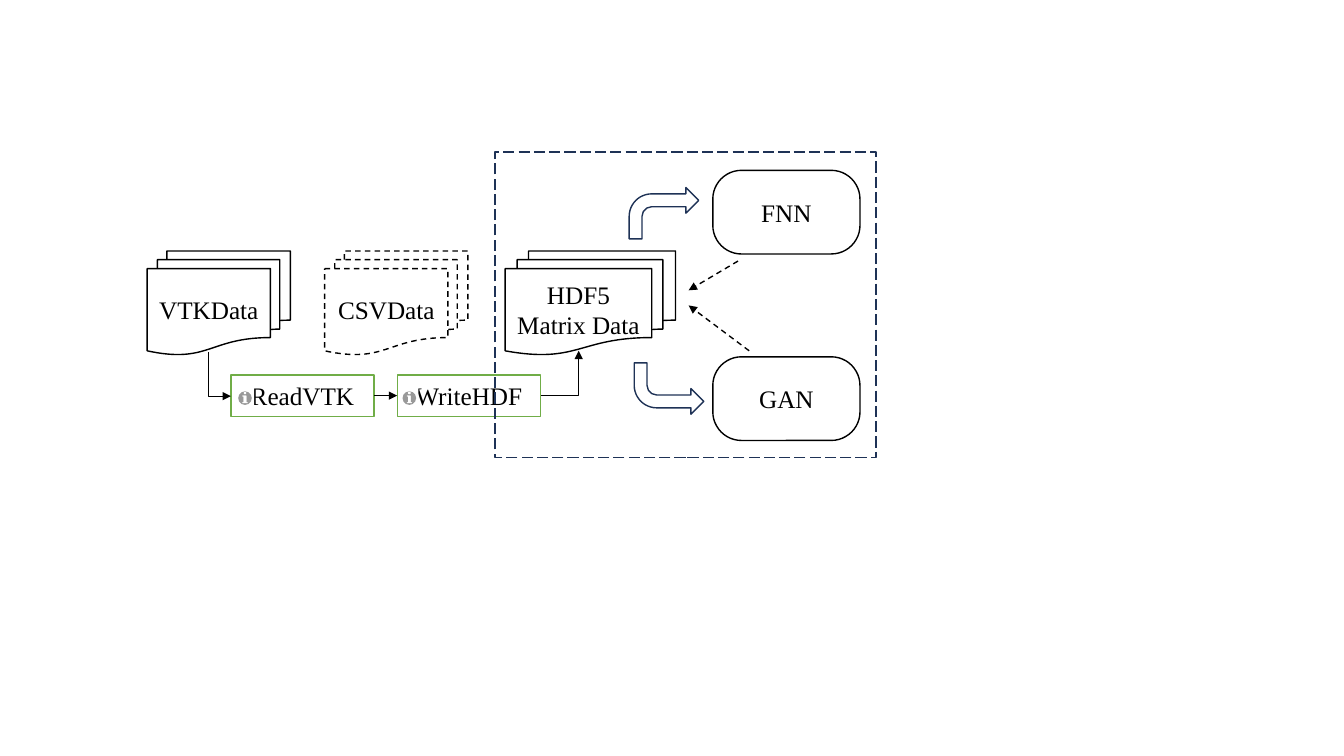
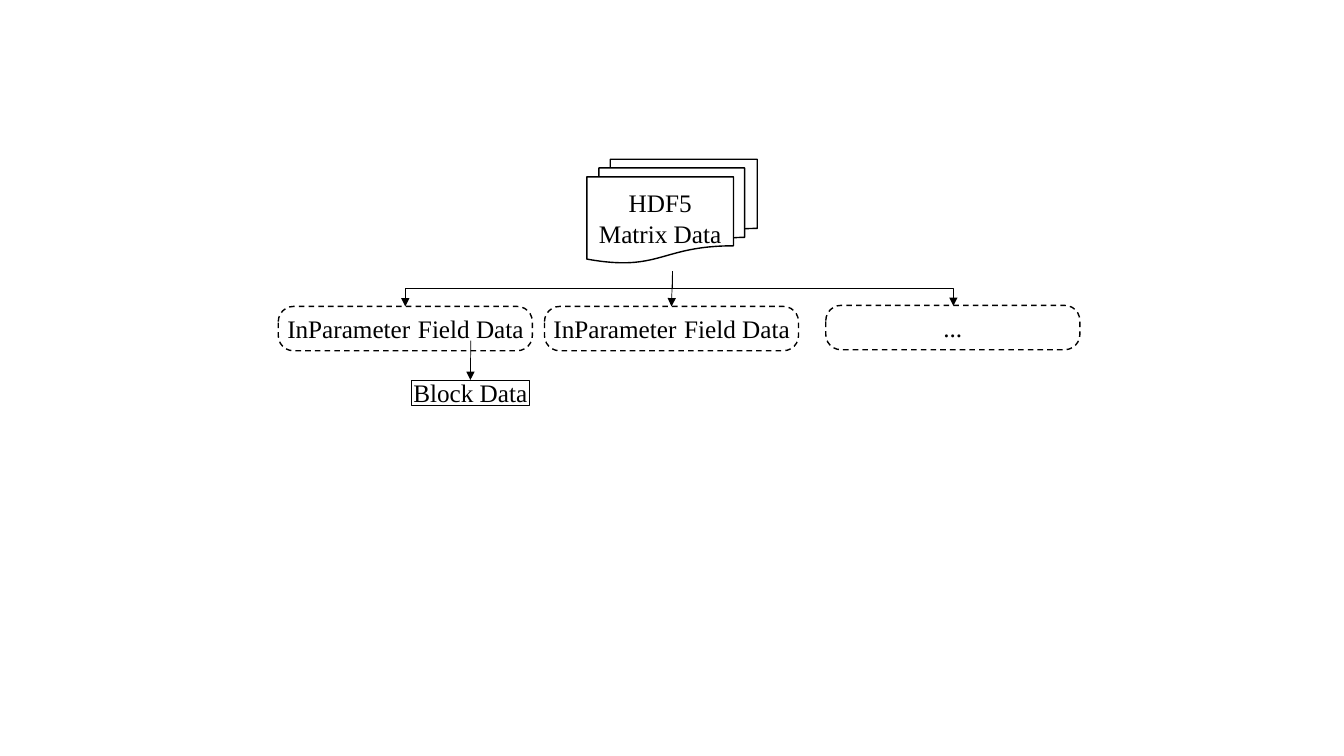
"""Build two data-flow diagram slides: the conversion pipeline and the HDF5 layout."""

from dataclasses import dataclass

from pptx import Presentation
from pptx.dml.color import RGBColor
from pptx.enum.dml import MSO_LINE
from pptx.enum.shapes import MSO_CONNECTOR, MSO_SHAPE
from pptx.enum.text import MSO_ANCHOR, PP_ALIGN
from pptx.oxml.ns import qn
from pptx.shapes.autoshape import Shape
from pptx.shapes.connector import Connector
from pptx.slide import Slide
from pptx.util import Emu, Pt
from lxml import etree

EMU_PER_PX = 9144
SLIDE_WIDTH, SLIDE_HEIGHT = 1333, 750
BLANK_LAYOUT = 6

BLACK, WHITE, GREEN, NAVY = "000000", "FFFFFF", "70AD47", "1E3256"
FONT, FONT_SIZE = "Times New Roman", 18
THIN, NORMAL = 0.5, 1
ROUNDNESS = 0.343

RECT = MSO_SHAPE.RECTANGLE
ROUNDED = MSO_SHAPE.ROUNDED_RECTANGLE
DOCUMENTS = MSO_SHAPE.FLOWCHART_MULTIDOCUMENT
INFO = MSO_SHAPE.ACTION_BUTTON_INFORMATION
BENT_ARROW = MSO_SHAPE.BENT_ARROW
STRAIGHT, ELBOW = MSO_CONNECTOR.STRAIGHT, MSO_CONNECTOR.ELBOW
DASH, LONG_DASH = MSO_LINE.DASH, MSO_LINE.LONG_DASH
CENTER, MIDDLE = PP_ALIGN.CENTER, MSO_ANCHOR.MIDDLE
TOP, LEFT, BOTTOM, RIGHT = range(4)


@dataclass(frozen=True)
class Box:
    """A preset shape with its place, text and look."""

    kind: MSO_SHAPE
    left: int
    top: int
    width: int
    height: int
    text: str = ""
    fill: str | None = WHITE
    line: str | None = BLACK
    weight: float = NORMAL
    dash: MSO_LINE | None = None
    tight: bool = False
    flipped: bool = False


@dataclass(frozen=True)
class Bend:
    """An elbow arrow given by its unrotated frame."""

    left: int
    top: int
    width: int
    height: int
    preset: str
    rotation: int = 0
    flip: str = ""


def px(length: int) -> Emu:
    """Turn pixels into EMU."""
    return Emu(length * EMU_PER_PX)


def color(value: str) -> RGBColor:
    """Turn a hex string into a colour."""
    return RGBColor.from_string(value)


def write_text(shape: Shape, box: Box) -> None:
    """Write the centred text of a box."""
    frame = shape.text_frame
    frame.word_wrap = True
    frame.vertical_anchor = MIDDLE
    if box.tight:
        frame.margin_left = frame.margin_right = 0
        frame.margin_top = frame.margin_bottom = 0
    frame.text = box.text
    for paragraph in frame.paragraphs:
        paragraph.alignment = CENTER
        paragraph.font.name = FONT
        paragraph.font.size = Pt(FONT_SIZE)
        paragraph.font.color.rgb = color(BLACK)


def add_box(slide: Slide, box: Box) -> Shape:
    """Draw one box."""
    shape = slide.shapes.add_shape(
        box.kind, px(box.left), px(box.top), px(box.width), px(box.height)
    )
    shape.shadow.inherit = False
    if box.kind == ROUNDED:
        shape.adjustments[0] = ROUNDNESS
    if box.fill:
        shape.fill.solid()
        shape.fill.fore_color.rgb = color(box.fill)
    else:
        shape.fill.background()
    if box.line:
        shape.line.color.rgb = color(box.line)
        shape.line.width = Pt(box.weight)
        if box.dash:
            shape.line.dash_style = box.dash
    else:
        shape.line.fill.background()
    if box.flipped:
        shape._element.spPr.xfrm.set("flipV", "1")
    if box.text:
        write_text(shape, box)
    return shape


def style_arrow(arrow: Connector, weight: float, dash: MSO_LINE | None = None) -> None:
    """Give a connector a black line and a triangle head, without a shadow."""
    arrow.line.color.rgb = color(BLACK)
    arrow.line.width = Pt(weight)
    if dash:
        arrow.line.dash_style = dash
    properties = arrow._element.spPr
    head = etree.SubElement(properties.get_or_add_ln(), qn("a:tailEnd"))
    head.set("type", "triangle")
    etree.SubElement(properties, qn("a:effectLst"))


def add_arrow(
    slide: Slide,
    start: tuple[int, int],
    end: tuple[int, int],
    weight: float = THIN,
    dash: MSO_LINE | None = None,
) -> Connector:
    """Draw a straight arrow."""
    arrow = slide.shapes.add_connector(STRAIGHT, *map(px, start + end))
    style_arrow(arrow, weight, dash)
    return arrow


def add_bend(slide: Slide, bend: Bend) -> None:
    """Draw an elbow arrow."""
    arrow = slide.shapes.add_connector(
        ELBOW,
        px(bend.left),
        px(bend.top),
        px(bend.left + bend.width),
        px(bend.top + bend.height),
    )
    properties = arrow._element.spPr
    properties.find(qn("a:prstGeom")).set("prst", bend.preset)
    if bend.rotation:
        properties.xfrm.set("rot", str(bend.rotation * 60000))
    if bend.flip:
        properties.xfrm.set(bend.flip, "1")
    style_arrow(arrow, THIN)


def add_matrix_data(slide: Slide, left: int, top: int) -> None:
    """Draw the stack of HDF5 documents."""
    add_box(slide, Box(DOCUMENTS, left, top, 169, 103, "HDF5\nMatrix Data"))


def build_pipeline(slide: Slide) -> None:
    """Draw the way from source files through HDF5 to the networks."""
    read_step, write_step = [
        add_box(slide, Box(RECT, left, 372, 142, 41, text, line=GREEN))
        for left, text in ((229, "ReadVTK"), (394, "WriteHDF"))
    ]
    add_bend(slide, Bend(196, 360, 44, 22, "bentConnector2", 270, "flipH"))
    add_box(slide, Box(DOCUMENTS, 146, 249, 142, 103, "VTKData"))
    add_matrix_data(slide, 501, 249)
    for left in (234, 397):
        add_box(slide, Box(INFO, left, 385, 18, 20, line=None))
    for top, network in ((169, "FNN"), (354, "GAN")):
        add_box(slide, Box(ROUNDED, 707, top, 146, 83, network))

    read_to_write = add_arrow(slide, (371, 393), (394, 393))
    read_to_write.begin_connect(read_step, RIGHT)
    read_to_write.end_connect(write_step, LEFT)
    add_bend(slide, Bend(537, 348, 37, 44, "bentConnector2", flip="flipV"))

    add_box(slide, Box(DOCUMENTS, 322, 249, 142, 103, "CSVData", dash=DASH))
    for left, top, flipped in ((624, 186, False), (629, 360, True)):
        add_box(
            slide,
            Box(BENT_ARROW, left, top, 69, 51, fill=None, line=NAVY, flipped=flipped),
        )
    for start, end in (((743, 348), (683, 303)), ((732, 259), (683, 288))):
        add_arrow(slide, start, end, NORMAL, DASH)
    add_box(slide, Box(RECT, 491, 151, 378, 303, fill=None, line=NAVY, dash=LONG_DASH))


def add_field(slide: Slide, left: int) -> tuple[Shape, Shape]:
    """Draw a parameter field and return its frame and its data label."""
    data, _ = [
        add_box(
            slide,
            Box(RECT, left + offset, 313, width, 25, text, line=None, tight=True),
        )
        for offset, width, text in ((138, 106, "Field Data"), (8, 124, "InParameter"))
    ]
    frame = add_box(slide, Box(ROUNDED, left, 304, 252, 44, fill=None, dash=DASH))
    return frame, data


def build_layout(slide: Slide) -> None:
    """Draw the tree of fields and blocks in the HDF5 matrix data."""
    add_matrix_data(slide, 582, 158)
    _, first_data = add_field(slide, 276)
    second_frame, _ = add_field(slide, 540)
    add_box(
        slide,
        Box(ROUNDED, 819, 303, 252, 44, "...", fill=None, dash=DASH, tight=True),
    )
    add_bend(slide, Bend(517, 154, 35, 265, "bentConnector3", 90))
    add_bend(slide, Bend(789, 147, 34, 279, "bentConnector3", 270, "flipH"))
    block = add_box(
        slide, Box(RECT, 408, 377, 117, 25, "Block Data", weight=THIN, tight=True)
    )
    field_to_block = add_arrow(slide, (467, 338), (467, 377))
    field_to_block.begin_connect(first_data, BOTTOM)
    field_to_block.end_connect(block, TOP)
    matrix_to_field = add_arrow(slide, (667, 269), (666, 304))
    matrix_to_field.end_connect(second_frame, TOP)


def main() -> None:
    """Build and save the presentation."""
    deck = Presentation()
    deck.slide_width, deck.slide_height = px(SLIDE_WIDTH), px(SLIDE_HEIGHT)
    for build in (build_pipeline, build_layout):
        build(deck.slides.add_slide(deck.slide_layouts[BLANK_LAYOUT]))
    deck.save("out.pptx")


if __name__ == "__main__":
    main()
